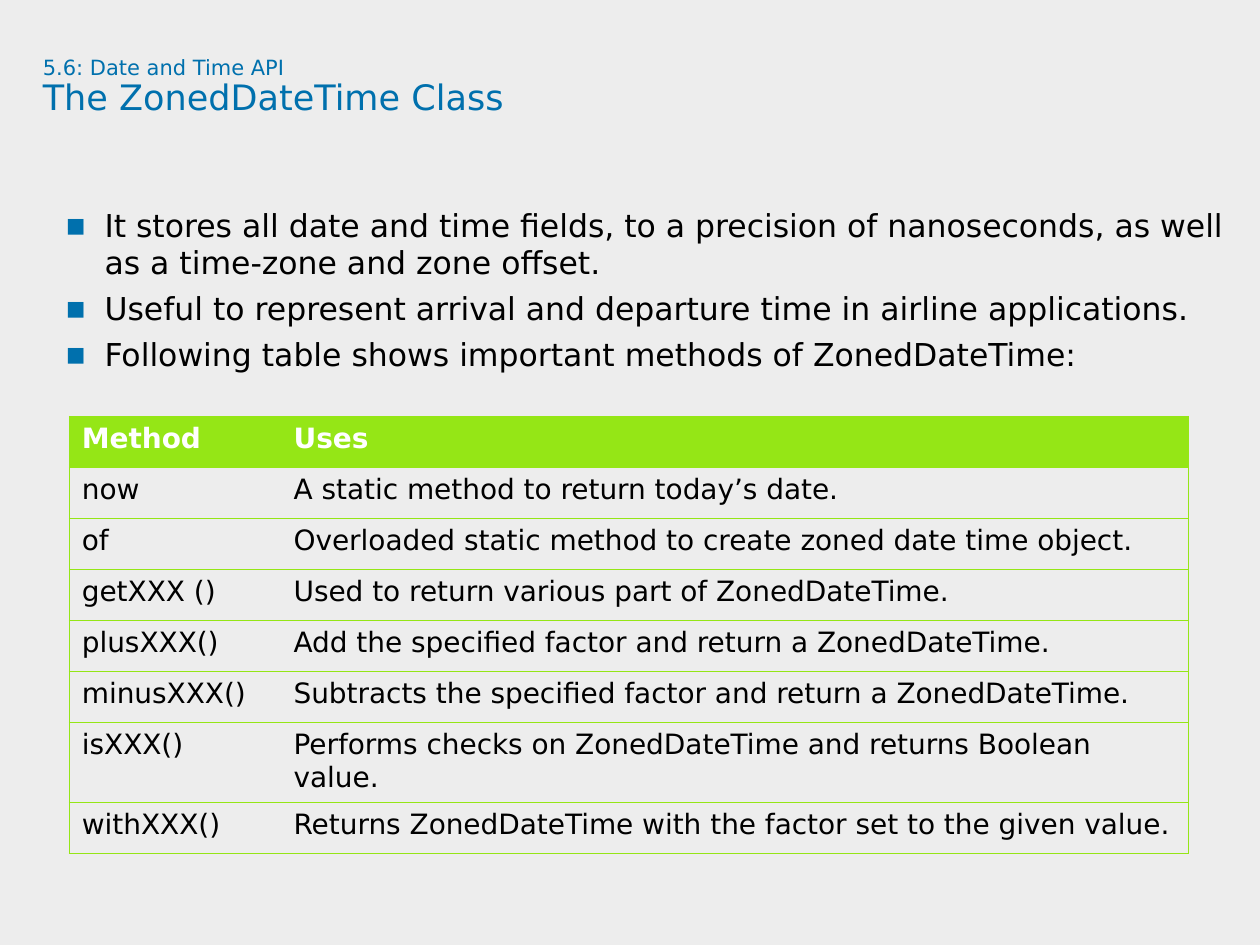
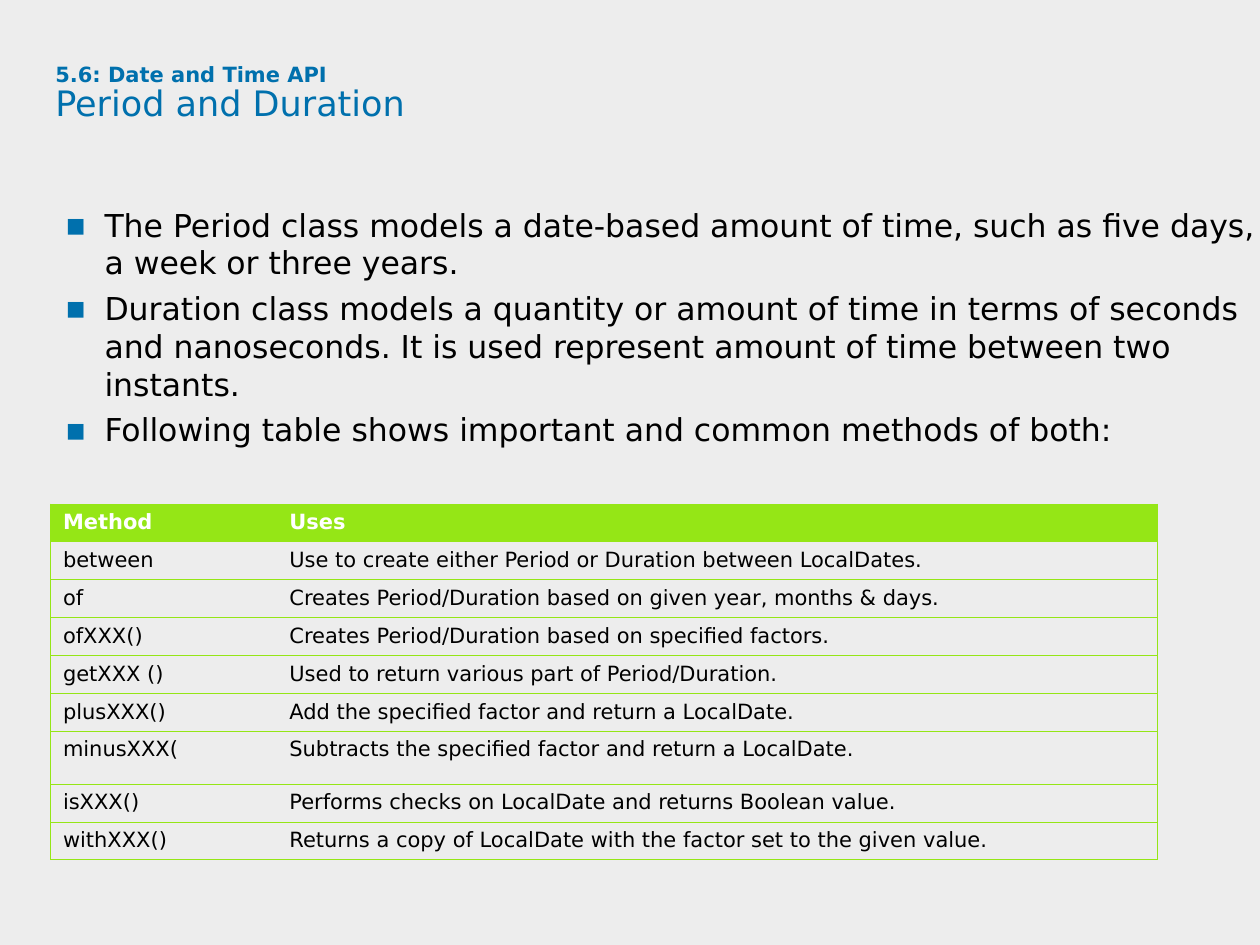
from lxml import etree
from pptx import Presentation
from pptx import util as u
from pptx.dml import color
from pptx.enum import text
from pptx.oxml import ns

HEX = {"page": "EDEDED", "blue": "0070AD", "green": "95E616",
       "black": "000000", "white": "FFFFFF"}


def rgb(name):
    return color.RGBColor.from_string(HEX[name])


def node(parent, tag, **attrs):
    """Add a drawing element below parent."""
    return etree.SubElement(parent, ns.qn("a:" + tag), attrs)


def solid(parent, name):
    node(node(parent, "solidFill"), "srgbClr", val=HEX[name])


class Deck:
    FACE = "DejaVu Sans"

    def __init__(self):
        self.prs = Presentation()
        self.prs.slide_width, self.prs.slide_height = u.Pt(720), u.Pt(540)
        fill = self.prs.slide_master.background.fill
        fill.solid()
        fill.fore_color.rgb = rgb("page")
        self.slide = None

    def page(self):
        self.slide = self.prs.slides.add_slide(self.prs.slide_layouts[6])

    def run(self, para, words, size, tint, bold=False):
        run = para.add_run()
        run.text = words
        style = {"name": self.FACE, "size": u.Pt(size), "bold": bold}
        for key, val in style.items():
            setattr(run.font, key, val)
        run.font.color.rgb = rgb(tint)

    def box(self, left, top, width, height, pad=(0, 0)):
        area = [u.Pt(v) for v in (left, top, width, height)]
        frame = self.slide.shapes.add_textbox(*area).text_frame
        side, edge = (u.Pt(v) for v in pad)
        style = {"word_wrap": True, "vertical_anchor": text.MSO_ANCHOR.TOP,
                 "margin_left": side, "margin_right": side,
                 "margin_top": edge, "margin_bottom": edge}
        for key, val in style.items():
            setattr(frame, key, val)
        return frame

    def title(self, topic, head, pad=(0, 0), bold=False):
        para = self.box(24.5, 33, 654.5, 67.5, pad).paragraphs[0]
        para.line_spacing = 0.9
        self.run(para, topic, 12, "blue", bold)
        para.add_line_break()
        self.run(para, head, 20, "blue")

    def points(self, items):
        frame = self.box(23.75, 117.5, 696.25, 366)
        for num, item in enumerate(items):
            para = frame.add_paragraph() if num else frame.paragraphs[0]
            para.space_after = u.Pt(4.5)
            props = para._p.get_or_add_pPr()
            props.set("marL", str(u.Pt(36)))
            props.set("indent", str(-u.Pt(22.5)))
            node(node(props, "buClr"), "srgbClr", val=HEX["blue"])
            node(props, "buFont", typeface=self.FACE)
            node(props, "buChar", char="▪")
            self.run(para, item, 18, "black")

    def cell(self, cell, words, size, head):
        props = cell._tc.get_or_add_tcPr()
        for side in "LRTB":
            # Header columns meet without a line, as do body columns
            line = node(props, "ln" + side, w=str(u.Pt(0.5)))
            inner = side == ("R" if cell._tc.col_idx == 0 else "L")
            if inner:
                node(line, "noFill")
            else:
                solid(line, "green")
        if head:
            cell.fill.solid()
            cell.fill.fore_color.rgb = rgb("green")
        else:
            cell.fill.background()
        self.run(cell.text_frame.paragraphs[0], words, size,
                 "white" if head else "black", head)

    def table(self, left, top, widths, rows, size, tall, odd=None):
        """Rows share one height, except those named in odd."""
        odd = odd or {}
        highs = [odd.get(num, tall) for num in range(len(rows))]
        area = [u.Pt(v) for v in (left, top, sum(widths), sum(highs))]
        grid = self.slide.shapes.add_table(len(rows), len(widths), *area).table
        grid.horz_banding = False
        for col, width in zip(grid.columns, widths):
            col.width = u.Pt(width)
        for num, (row, high) in enumerate(zip(grid.rows, highs)):
            row.height = u.Pt(high)
            for cell, words in zip(row.cells, rows[num]):
                self.cell(cell, words, size, num == 0)


TOPIC = "5.6: Date and Time API"
HEAD = ("Method", "Uses")


def main():
    deck = Deck()

    # Zoned date and time
    deck.page()
    deck.title(TOPIC, "The ZonedDateTime Class")
    deck.points([
        "It stores all date and time fields, to a precision of nanoseconds, "
        "as well as a time-zone and zone offset.",
        "Useful to represent arrival and departure time in airline "
        "applications.",
        "Following table shows important methods of ZonedDateTime:",
    ])
    deck.table(39.6, 237.8, (121, 518.4), [
        HEAD,
        ("now", "A static method to return today’s date."),
        ("of", "Overloaded static method to create zoned date time object."),
        ("getXXX ()", "Used to return various part of ZonedDateTime."),
        ("plusXXX()", "Add the specified factor and return a ZonedDateTime."),
        ("minusXXX()",
         "Subtracts the specified factor and return a ZonedDateTime."),
        ("isXXX()",
         "Performs checks on ZonedDateTime and returns Boolean value."),
        ("withXXX()",
         "Returns ZonedDateTime with the factor set to the given value."),
    ], 16, 29.2, {6: 44.5})

    # Period and duration
    deck.page()
    deck.title(TOPIC, "Period and Duration", (7.2, 3.6), True)
    deck.points([
        "The Period class models a date-based amount of time, such as five "
        "days, a week or three years.",
        "Duration class models a quantity or amount of time in terms of "
        "seconds and nanoseconds. It is used represent amount of time "
        "between two instants.",
        "Following table shows important and common methods of both:",
    ])
    deck.table(28.8, 288, (129.4, 503), [
        HEAD,
        ("between",
         "Use to create either Period or Duration between LocalDates."),
        ("of", "Creates Period/Duration based on given year, months & days."),
        ("ofXXX()", "Creates Period/Duration based on specified factors."),
        ("getXXX ()", "Used to return various part of Period/Duration."),
        ("plusXXX()", "Add the specified factor and return a LocalDate."),
        ("minusXXX(",
         "Subtracts the specified factor and return a LocalDate."),
        ("isXXX()", "Performs checks on LocalDate and returns Boolean value."),
        ("withXXX()", "Returns a copy of LocalDate with the factor set to "
                      "the given value."),
    ], 12, 21.25, {6: 30.3, 8: 21.6})

    deck.prs.save("out.pptx")


if __name__ == "__main__":
    main()
